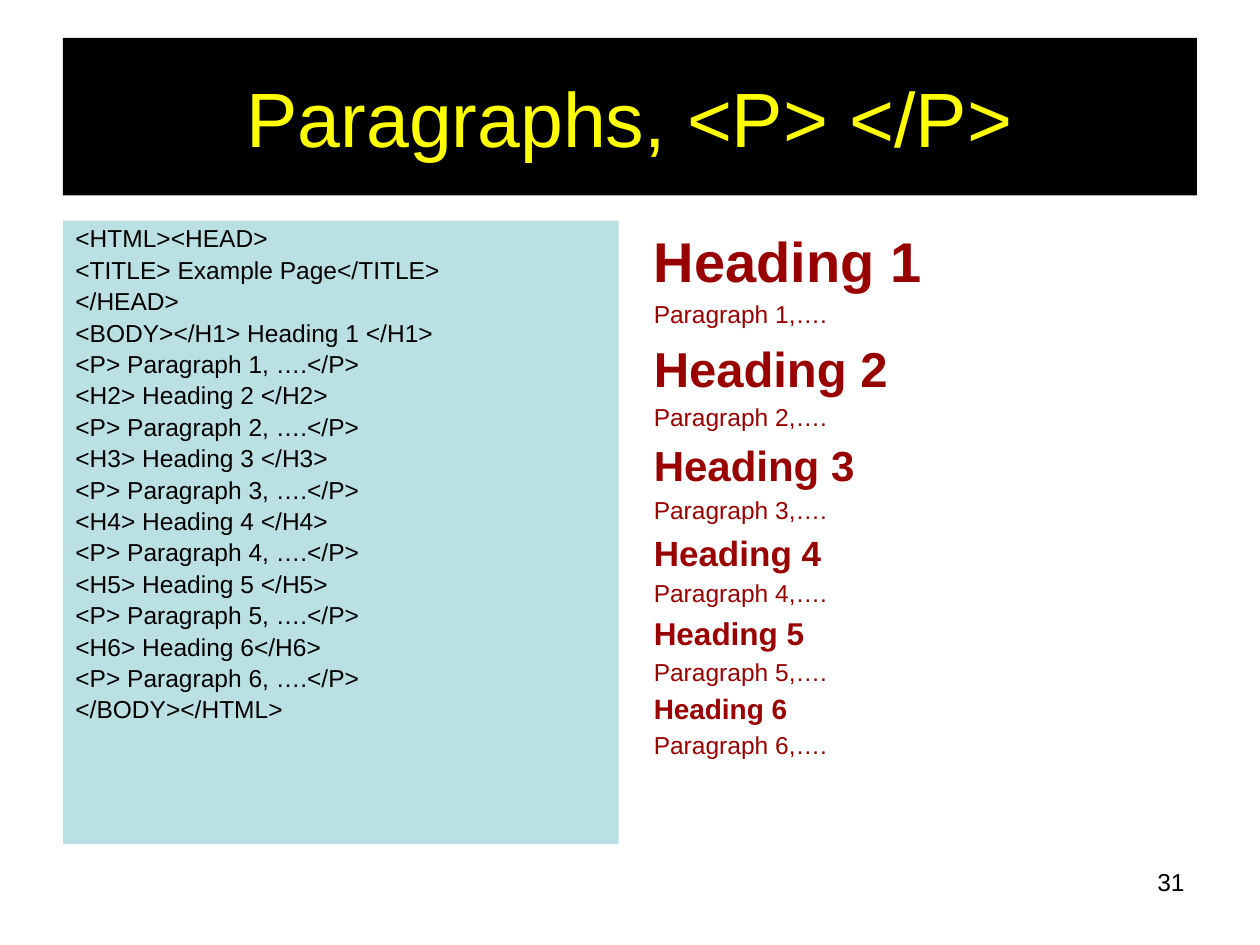
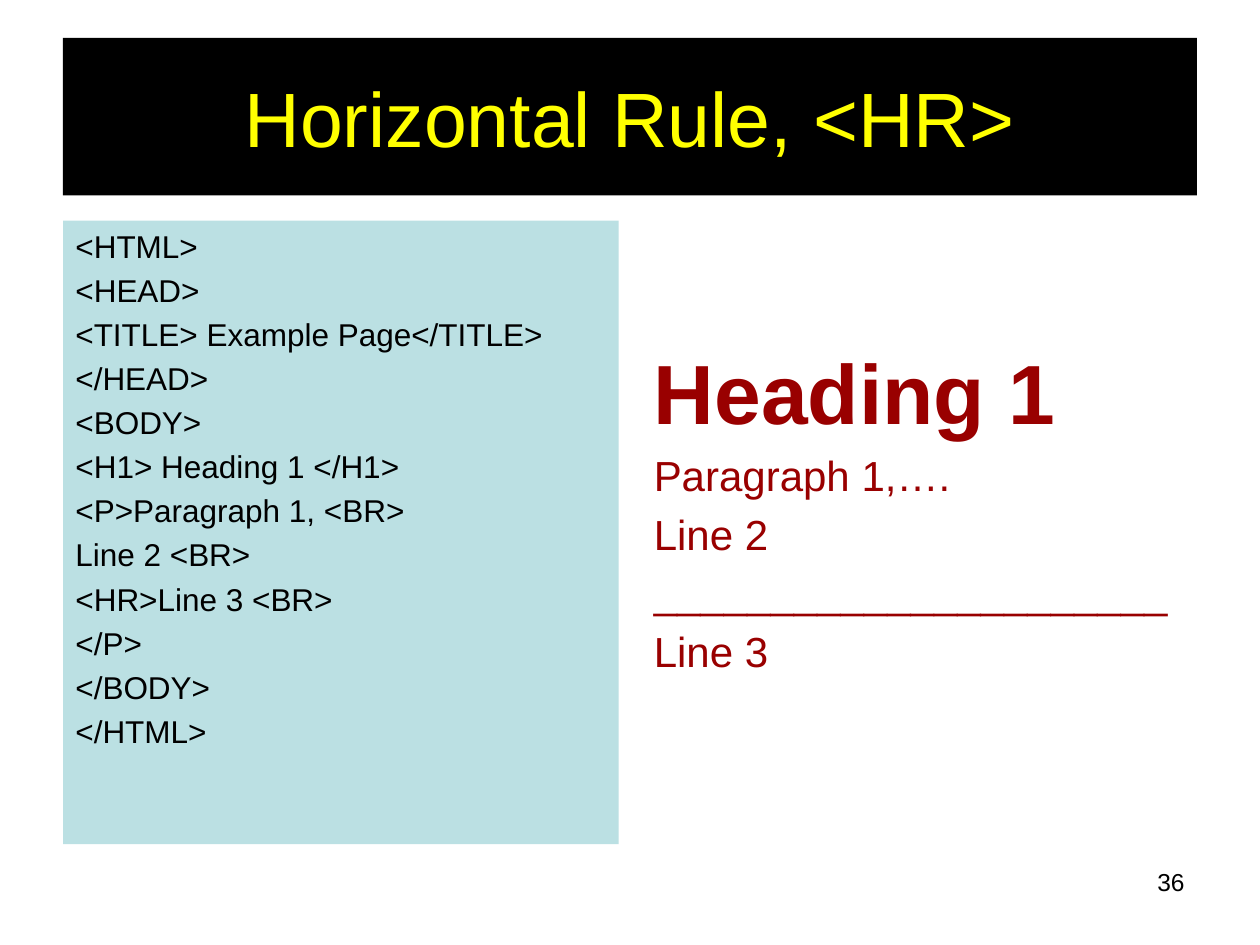
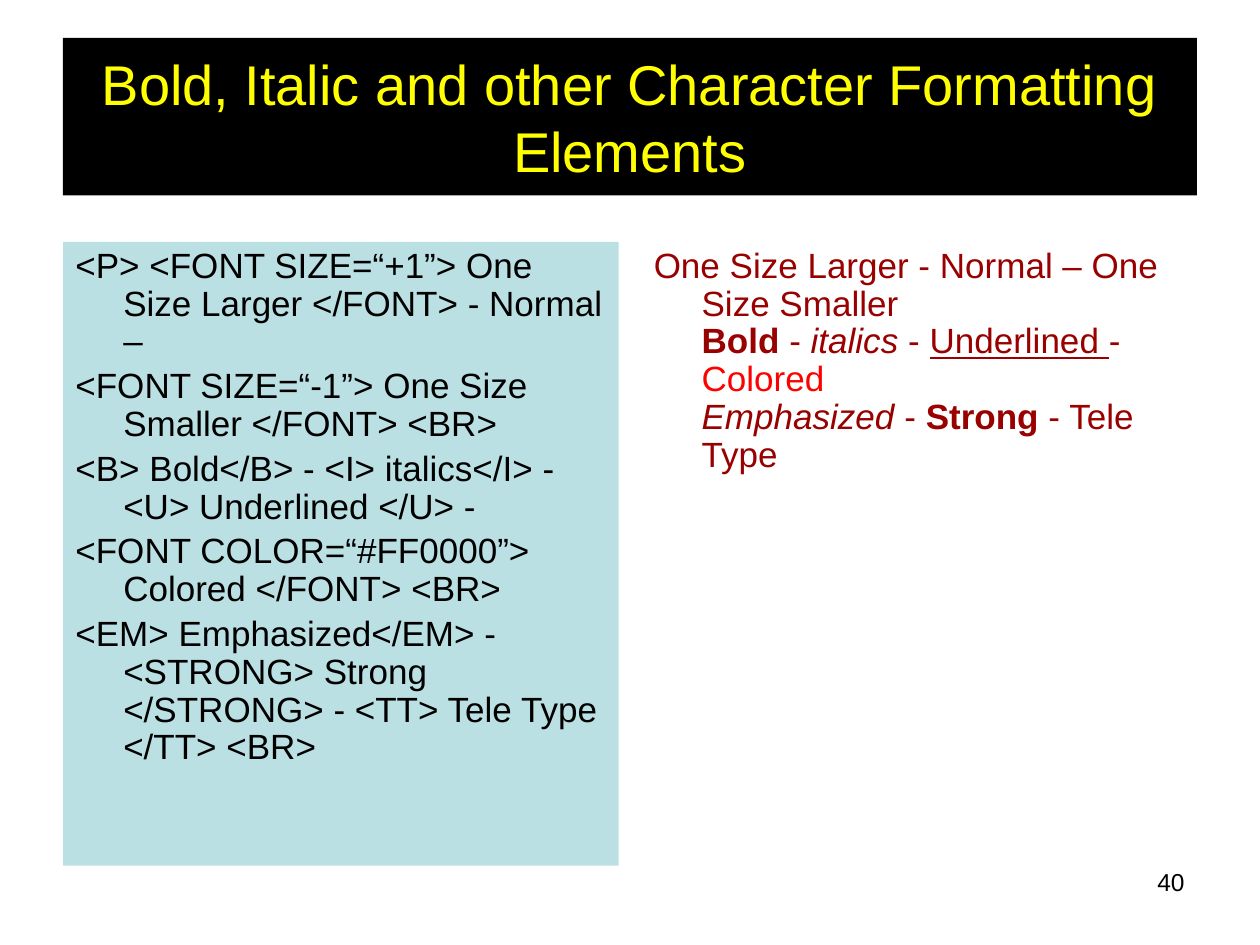
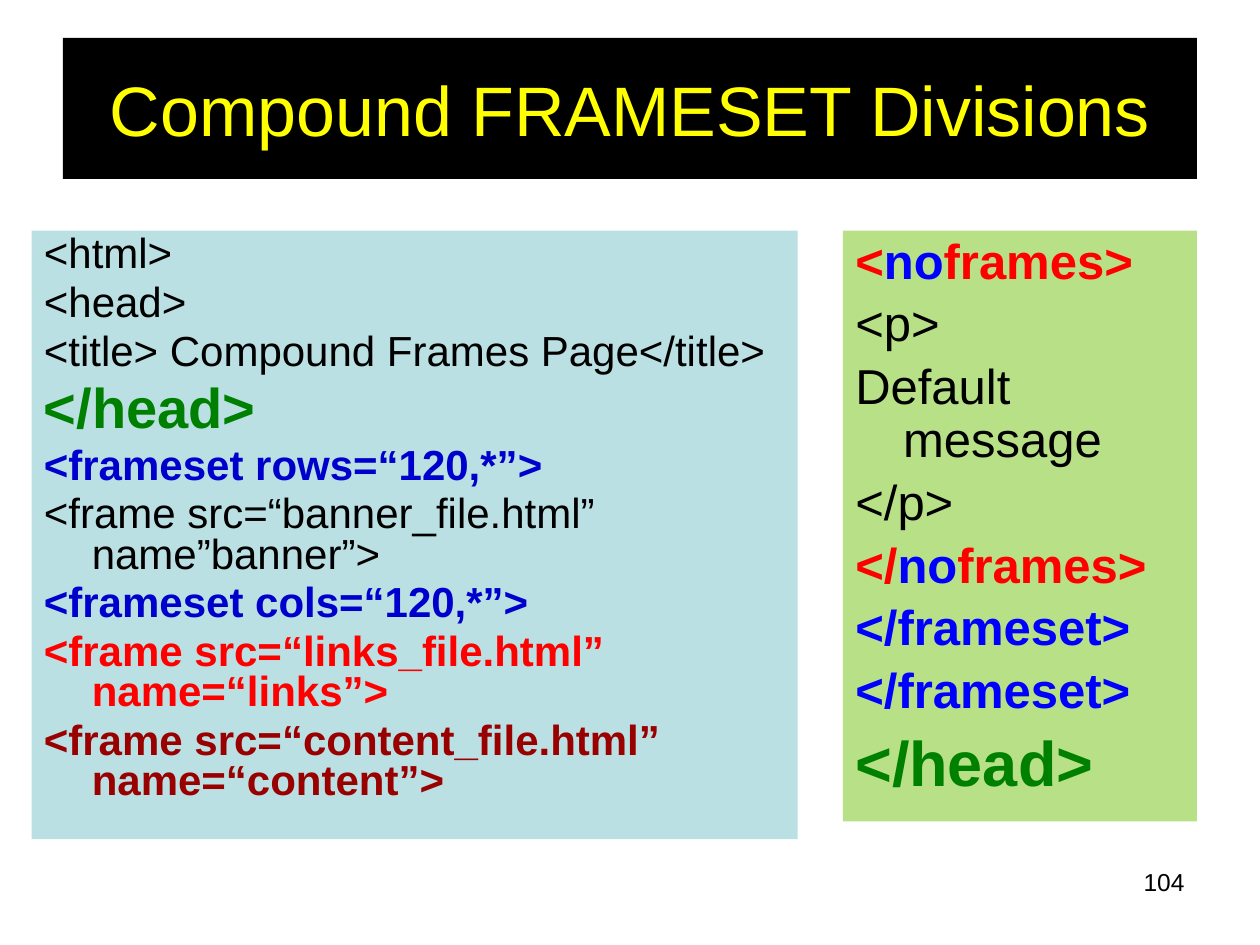
from dataclasses import dataclass

from pptx import Presentation
from pptx.dml.color import RGBColor as Rgb
from pptx.enum.shapes import MSO_SHAPE as Shape
from pptx.enum.text import MSO_ANCHOR as Anchor, PP_ALIGN as Align
from pptx.util import Inches, Pt


@dataclass(frozen=True)
class Theme:
    font: str = "Arial"
    black: str = "000000"
    yellow: str = "FFFF00"
    aqua: str = "BBE0E3"
    lime: str = "B8E187"
    maroon: str = "990000"
    red: str = "FF0000"
    green: str = "008000"
    navy: str = "0000CC"
    blue: str = "0000FF"
    small: int = 14
    code: int = 18
    body: int = 20
    large: int = 24
    huge: int = 28
    hang: float = 0.38   # hanging indent, inches
    lead: float = 0.2    # space before, as a share of the type size


T = Theme()


def mark(text, **style):
    """One paragraph in a single style."""
    return [(text, style)]


# Content: a paragraph is a string or a list of (text, style) runs
levels = range(1, 7)
heads = dict(zip(levels, (32, 28, 24, 20, 18, 16)))

tags = ["<HTML><HEAD>", "<TITLE> Example Page</TITLE>", "</HEAD>",
        "<BODY></H1> Heading 1 </H1>", "<P> Paragraph 1, ….</P>"]
for n in levels[1:]:
    gap = "" if n == 6 else " "
    tags += [f"<H{n}> Heading {n}{gap}</H{n}>", f"<P> Paragraph {n}, ….</P>"]
tags.append("</BODY></HTML>")

view = []
for n, size in heads.items():
    view += [mark(f"Heading {n}", size=size, bold=True), f"Paragraph {n},…."]

rule = ["<HTML>", "<HEAD>", "<TITLE> Example Page</TITLE>", "</HEAD>",
        "<BODY>", "<H1> Heading 1 </H1>", "<P>Paragraph 1, <BR>",
        "Line 2 <BR>", "<HR>Line 3 <BR>", "</P>", "</BODY>", "</HTML>"]
ruled = [mark("Heading 1", size=48, bold=True), "Paragraph 1,….", "Line 2",
         "_" * 22, "Line 3"]

fonts = ["<P> <FONT SIZE=“+1”> One Size Larger </FONT> - Normal –",
         "<FONT SIZE=“-1”> One Size Smaller </FONT> <BR>",
         "<B> Bold</B> - <I> italics</I> - <U> Underlined </U> -",
         "<FONT COLOR=“#FF0000”> Colored </FONT> <BR>",
         "<EM> Emphasized</EM> - <STRONG> Strong </STRONG> - "
         "<TT> Tele Type </TT> <BR>"]
styled = [[("One Size Larger - Normal – One Size Smaller \n", {}),
           ("Bold", {"bold": True}), (" - ", {}),
           ("italics", {"italic": True}), (" - ", {}),
           ("Underlined ", {"line": True}), ("- ", {}),
           ("Colored \n", {"color": T.red}),
           ("Emphasized", {"italic": True}), (" - ", {}),
           ("Strong ", {"bold": True}), ("- Tele Type ", {})]]

frames = ["<html>", "<head>", "<title> Compound Frames Page</title>",
          mark("</head>", size=32, color=T.green, bold=True),
          mark("<frameset rows=“120,*”>", color=T.navy, bold=True),
          "<frame src=“banner_file.html” name”banner”>",
          mark("<frameset cols=“120,*”>", color=T.navy, bold=True),
          mark("<frame src=“links_file.html” name=“links”>",
               color=T.red, bold=True),
          mark("<frame src=“content_file.html” name=“content”>",
               color=T.maroon, bold=True)]


def split(start):
    """The noframes tag, with its first syllable in blue."""
    return [(start, {"color": T.red, "bold": True}),
            ("no", {"color": T.blue, "bold": True}),
            ("frames>", {"color": T.red, "bold": True})]


close = mark("</frameset>", color=T.blue, bold=True)
spare = [split("<"), "<p>", "Default message", "</p>", split("</"),
         close, close, mark("</head>", size=36, color=T.green, bold=True)]


# Boxes: left, top, width, height
def pair(top):
    return (0.5, top, 4.41, 4.95), (5.09, top, 4.41, 4.95)


left, right = pair(1.75)
low, side = pair(1.92)
band = (0.5, 0.3, 9, 1.25)
foot = (7.17, 6.83, 2.33, 0.52)

code = {"fill": T.aqua}
shown = {"color": T.maroon}

# Slides: number, title, title size, title box, panels
slides = [
    (31, "Paragraphs, <P> </P>", 44, band,
     [(left, tags, dict(code, size=T.small, space=0.9)),
      (right, view, dict(shown, size=T.small))]),
    (36, "Horizontal Rule, <HR>", 44, band,
     [(left, rule, dict(code, size=T.code)),
      (right, ruled, dict(shown, size=T.large, inset=0.95))]),
    (40, "Bold, Italic and other Character Formatting Elements", 32, band,
     [(low, fonts, dict(code, size=T.body, space=0.9)),
      (side, styled, dict(shown, size=T.body, space=0.9))]),
    (104, "Compound FRAMESET Divisions", 40, (0.5, 0.3, 9, 1.12),
     [((0.25, 1.83, 6.08, 4.83), frames,
       dict(code, size=T.large, space=0.8)),
      ((6.69, 1.83, 2.81, 4.69), spare,
       dict(fill=T.lime, size=T.huge, space=0.9))]),
]


def frame(slide, box, fill=None, anchor=Anchor.TOP, inset=0.05):
    """Add a filled rectangle or a bare text box; return its text frame."""
    at = [Inches(v) for v in box]
    if fill:
        shape = slide.shapes.add_shape(Shape.RECTANGLE, *at)
        shape.shadow.inherit = False
        shape.fill.solid()
        shape.fill.fore_color.rgb = Rgb.from_string(fill)
        shape.line.fill.background()
    else:
        shape = slide.shapes.add_textbox(*at)
    text = shape.text_frame
    text.word_wrap = True
    text.vertical_anchor = anchor
    text.margin_top = Inches(inset)
    return text


def write(para, text, size, color=T.black, bold=False, italic=False,
          line=False):
    """Add one run, with a line break at each newline."""
    for i, part in enumerate(text.split("\n")):
        if i:
            para.add_line_break()
        if part:
            run = para.add_run()
            run.text = part
            font = run.font
            font.name, font.size = T.font, Pt(size)
            font.bold, font.italic, font.underline = bold, italic, line
            font.color.rgb = Rgb.from_string(color)


def label(slide, box, text, size, align, color=T.black, **look):
    """Add a one-paragraph box."""
    para = frame(slide, box, **look).paragraphs[0]
    para.alignment = align
    write(para, text, size, color)


def panel(slide, box, paras, size, color=T.black, space=1.0, **look):
    """Add a box of paragraphs with hanging indents."""
    text = frame(slide, box, **look)
    for i, item in enumerate(paras):
        para = text.add_paragraph() if i else text.paragraphs[0]
        runs = mark(item) if isinstance(item, str) else item
        para.alignment = Align.LEFT
        para.line_spacing = space
        if i:
            para.space_before = Pt(T.lead * runs[0][1].get("size", size))
        props = para._p.get_or_add_pPr()
        props.set("marL", str(Inches(T.hang)))
        props.set("indent", str(-Inches(T.hang)))
        for words, style in runs:
            write(para, words, **{"size": size, "color": color, **style})


def main():
    deck = Presentation()
    deck.slide_width, deck.slide_height = Inches(10), Inches(7.5)
    for number, title, size, box, panels in slides:
        slide = deck.slides.add_slide(deck.slide_layouts[6])
        label(slide, foot, str(number), T.small, Align.RIGHT)
        label(slide, box, title, size, Align.CENTER, T.yellow,
              fill=T.black, anchor=Anchor.MIDDLE)
        for place, paras, look in panels:
            panel(slide, place, paras, **look)
    deck.save("out.pptx")


if __name__ == "__main__":
    main()
